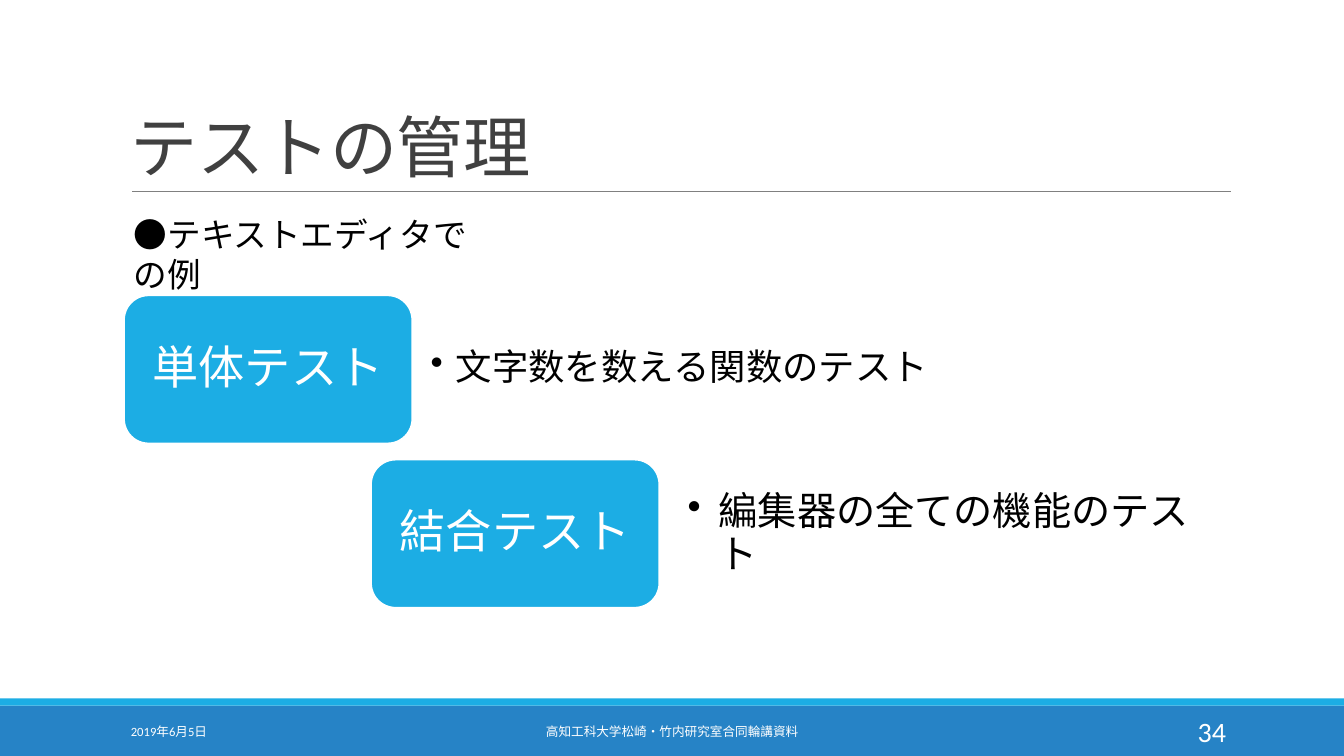
from dataclasses import dataclass

from lxml.etree import SubElement
from pptx import Presentation
from pptx.dml.color import RGBColor
from pptx.enum.shapes import MSO_CONNECTOR, MSO_SHAPE
from pptx.enum.text import MSO_ANCHOR, PP_ALIGN
from pptx.oxml.ns import qn
from pptx.util import Pt

EMU_PER_PX = 9144


@dataclass(frozen=True)
class Theme:
    font: str = "Calibri"
    white: str = "FFFFFF"
    black: str = "000000"
    title: str = "404040"
    rule: str = "808080"
    accent: str = "1CADE4"
    footer: str = "2683C6"
    title_size: int = 48
    lead_size: int = 24
    stage_size: int = 33
    footer_size: int = 9
    number_size: int = 20


@dataclass(frozen=True)
class Box:
    x: int
    y: int
    w: int
    h: int


@dataclass(frozen=True)
class Stage:
    name: str
    detail: str
    card: Box
    note: Box
    size: int
    indent: int
    inset: int


@dataclass(frozen=True)
class FooterItem:
    text: str
    box: Box
    size: int
    align: PP_ALIGN


THEME = Theme()
STAGES = [
    Stage("単体テスト", "文字数を数える関数のテスト",
          Box(123, 293, 286, 147), Box(413, 307, 575, 118), 26, 25, 14),
    Stage("結合テスト", "編集器の全ての機能のテスト",
          Box(368, 456, 286, 147), Box(667, 471, 546, 118), 28, 31, 15),
]
FOOTER = [
    FooterItem("2019年6月5日", Box(120, 706, 270, 40), THEME.footer_size, PP_ALIGN.LEFT),
    FooterItem("高知工科大学松崎・竹内研究室合同輪講資料", Box(403, 706, 527, 40),
               THEME.footer_size, PP_ALIGN.CENTER),
    FooterItem("34", Box(1083, 706, 143, 40), THEME.number_size, PP_ALIGN.RIGHT),
]


def px(n: int) -> int:
    return n * EMU_PER_PX


def place(box: Box) -> tuple[int, int, int, int]:
    return px(box.x), px(box.y), px(box.w), px(box.h)


def write(s, text: str, *, size: int, color: str, align=PP_ALIGN.LEFT,
          anchor=MSO_ANCHOR.MIDDLE, inset: int | None = None,
          line_spacing: float = 1.0, spacing: int = 0, indent: int = 0) -> None:
    tf = s.text_frame
    tf.word_wrap = True
    tf.vertical_anchor = anchor
    if inset is not None:
        tf.margin_left = tf.margin_right = px(inset)
        tf.margin_top = tf.margin_bottom = px(inset)
    p = tf.paragraphs[0]
    p.alignment = align
    p.line_spacing = line_spacing
    if indent:
        pPr = p._p.get_or_add_pPr()
        pPr.set("marL", str(px(indent)))
        pPr.set("indent", str(-px(indent)))
        SubElement(pPr, qn("a:buChar")).set("char", "•")
    r = p.add_run()
    r.text = text
    r.font.name = THEME.font
    r.font.size = Pt(size)
    r.font.color.rgb = RGBColor.from_string(color)
    if spacing:
        r._r.get_or_add_rPr().set("spc", str(spacing))


def add_text(slide, box: Box, text: str, **fmt) -> None:
    write(slide.shapes.add_textbox(*place(box)), text, **fmt)


def add_block(slide, kind: MSO_SHAPE, box: Box, fill: str, outline: str | None = None):
    s = slide.shapes.add_shape(kind, *place(box))
    s.shadow.inherit = False
    s.fill.solid()
    s.fill.fore_color.rgb = RGBColor.from_string(fill)
    if outline:
        s.line.color.rgb = RGBColor.from_string(outline)
        s.line.width = Pt(1.25)
    else:
        s.line.fill.background()
    return s


def add_rule(slide, x1: int, x2: int, y: int) -> None:
    c = slide.shapes.add_connector(MSO_CONNECTOR.STRAIGHT, px(x1), px(y), px(x2), px(y))
    c.line.color.rgb = RGBColor.from_string(THEME.rule)
    c.line.width = Pt(0.5)
    SubElement(c._element.spPr, qn("a:effectLst"))


def add_stage(slide, stage: Stage) -> None:
    card = add_block(slide, MSO_SHAPE.ROUNDED_RECTANGLE, stage.card, THEME.accent, THEME.white)
    write(card, stage.name, size=THEME.stage_size, color=THEME.white,
          align=PP_ALIGN.CENTER, inset=4, line_spacing=0.9)
    add_text(slide, stage.note, stage.detail, size=stage.size, color=THEME.black,
             inset=stage.inset, line_spacing=0.9, indent=stage.indent)


def main() -> None:
    prs = Presentation()
    prs.slide_width, prs.slide_height = px(1333), px(750)
    slide = prs.slides.add_slide(prs.slide_layouts[6])

    add_block(slide, MSO_SHAPE.RECTANGLE, Box(0, 700, 1333, 50), THEME.footer)
    add_block(slide, MSO_SHAPE.RECTANGLE, Box(0, 693, 1333, 7), THEME.accent)
    add_rule(slide, 131, 1221, 190)
    add_text(slide, Box(120, 31, 1100, 159), "テストの管理", size=THEME.title_size,
             color=THEME.title, anchor=MSO_ANCHOR.BOTTOM, line_spacing=0.85, spacing=-50)
    for item in FOOTER:
        add_text(slide, item.box, item.text, size=item.size, color=THEME.white, align=item.align)
    for stage in STAGES:
        add_stage(slide, stage)
    add_text(slide, Box(123, 207, 376, 50), "●テキストエディタでの例",
             size=THEME.lead_size, color=THEME.black, anchor=MSO_ANCHOR.TOP)

    prs.save("out.pptx")


if __name__ == "__main__":
    main()
